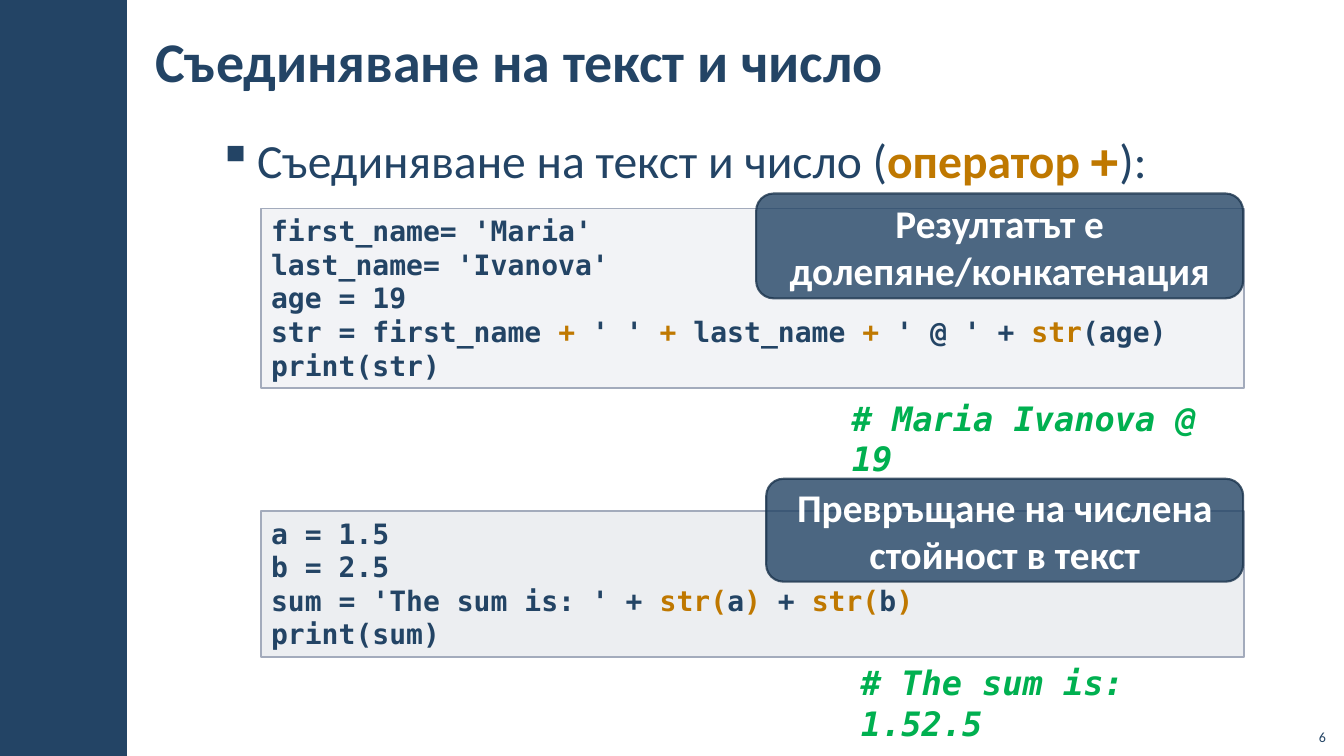
import pptx
import pptx.dml.color
import pptx.enum.shapes
import pptx.enum.text
import pptx.oxml
import pptx.oxml.ns
import pptx.util
from dataclasses import dataclass, field
from typing import Any

Inches = pptx.util.Inches
Pt = pptx.util.Pt
RGBColor = pptx.dml.color.RGBColor
Shape = pptx.enum.shapes.MSO_SHAPE
Align = pptx.enum.text.PP_ALIGN
Anchor = pptx.enum.text.MSO_ANCHOR
Fit = pptx.enum.text.MSO_AUTO_SIZE
qn = pptx.oxml.ns.qn

NAVY = RGBColor(0x23, 0x44, 0x65)
DEEP = RGBColor(0x1A, 0x33, 0x4C)
GOLD = RGBColor(0xBF, 0x78, 0x00)
GREEN = RGBColor(0x00, 0xB0, 0x50)
WHITE = RGBColor(0xFF, 0xFF, 0xFF)
PALE = RGBColor(0xC2, 0xC7, 0xD2)
GREY = RGBColor(0xA3, 0xAB, 0xBC)

SANS, MONO = "Calibri", "DejaVu Sans Mono"
TITLE = {"name": SANS, "size": Pt(40), "bold": True}
BODY = {"name": SANS, "size": Pt(34), "bold": False}
CODE = {"name": MONO, "size": Pt(20), "bold": True}
RESULT = {"name": MONO, "size": Pt(24), "bold": True, "italic": True}
NOTE = {"name": SANS, "size": Pt(28), "bold": True}
NUMBER = {"name": SANS, "size": Pt(10)}
WIDE = {"margin_left": Inches(0.12), "margin_right": Inches(0.12),
        "margin_top": Inches(0.04), "margin_bottom": Inches(0.04)}


@dataclass
class Run:
    text: str
    style: dict[str, Any]
    color: RGBColor = NAVY


@dataclass
class Box:
    left: float
    top: float
    width: float
    height: float
    lines: list[list[Run]] = field(default_factory=list)
    align: Any = Align.LEFT
    frame: dict[str, Any] = field(default_factory=dict)


@dataclass
class Look:
    form: Any
    fill: RGBColor
    alpha: int = 100
    line: RGBColor | None = None
    weight: float = 1
    clear: int = 100  # line opacity in percent


def code(text: str) -> list[list[Run]]:
    """Split code into lines; parts between bars are gold."""
    return [[Run(part, CODE, GOLD if i % 2 else NAVY)
             for i, part in enumerate(line.split("|")) if part]
            for line in text.splitlines()]


def fade(color: Any, alpha: int) -> None:
    """Set the opacity of a solid fill in percent."""
    node = color.find(".//" + qn("a:srgbClr"))
    node.append(pptx.oxml.parse_xml(
        '<a:alpha xmlns:a="http://schemas.openxmlformats.org/drawingml/2006/main"'
        f' val="{alpha * 1000}"/>'))


def write(shape: Any, box: Box) -> None:
    frame = shape.text_frame
    for key, value in {"word_wrap": True, "vertical_anchor": Anchor.TOP,
                       **box.frame}.items():
        setattr(frame, key, value)
    for i, line in enumerate(box.lines):
        para = frame.add_paragraph() if i else frame.paragraphs[0]
        para.alignment = box.align
        for item in line:
            run = para.add_run()
            run.text = item.text
            for key, value in item.style.items():
                setattr(run.font, key, value)
            run.font.color.rgb = item.color


def place(box: Box) -> tuple[Any, ...]:
    return tuple(Inches(n) for n in (box.left, box.top, box.width, box.height))


def label(slide: Any, box: Box) -> Any:
    shape = slide.shapes.add_textbox(*place(box))
    write(shape, box)
    return shape


def panel(slide: Any, box: Box, look: Look) -> None:
    shape = slide.shapes.add_shape(look.form, *place(box))
    shape.shadow.inherit = False
    shape.fill.solid()
    shape.fill.fore_color.rgb = look.fill
    if look.alpha < 100:
        fade(shape.element.spPr.find(qn("a:solidFill")), look.alpha)
    if look.line is None:
        shape.line.fill.background()
    else:
        shape.line.color.rgb = look.line
        shape.line.width = Pt(look.weight)
        if look.clear < 100:
            fade(shape.element.spPr.find(qn("a:ln")), look.clear)
    write(shape, box)


def bullet(para: Any) -> None:
    props = para._p.get_or_add_pPr()
    props.set("marL", str(Inches(0.39)))
    props.set("indent", str(-Inches(0.39)))
    props.append(pptx.oxml.parse_xml(
        '<a:buChar xmlns:a="http://schemas.openxmlformats.org/drawingml/2006/main"'
        ' char="▪"/>'))
    para.line_spacing = 1.05
    para.space_after = Pt(6)


NAMES = """first_name= 'Maria'
last_name= 'Ivanova'
age = 19
str = first_name |+| ' ' |+| last_name |+| ' @ ' + |str|(age)
print(str)"""
SUM = """a = 1.5
b = 2.5
sum = 'The sum is: ' + |str(|a|)| + |str(|b|)|
print(sum)"""
GROW = {"auto_size": Fit.SHAPE_TO_FIT_TEXT}
MID = {"vertical_anchor": Anchor.MIDDLE}


def main() -> None:
    deck = pptx.Presentation()
    deck.slide_width, deck.slide_height = Inches(13.33), Inches(7.5)
    slide = deck.slides.add_slide(deck.slide_layouts[6])

    # Side band and page number
    panel(slide, Box(0, 0, 1.26, 7.5), Look(Shape.RECTANGLE, NAVY))
    label(slide, Box(12.85, 7.12, 0.4, 0.32, [[Run("6", NUMBER)]], Align.RIGHT,
                     {"vertical_anchor": Anchor.BOTTOM}))

    # Heading and bullet
    body = label(slide, Box(2.04, 1.23, 11.08, 6.07, [[
        Run("Съединяване на текст и число (", BODY),
        Run("оператор ", {**BODY, "bold": True}, GOLD),
        Run("+", {**BODY, "name": MONO, "bold": True}, GOLD),
        Run("):", BODY)]], frame=WIDE))
    bullet(body.text_frame.paragraphs[0])
    label(slide, Box(1.42, 0.11, 10.02, 0.97,
                     [[Run("Съединяване на текст и число", TITLE)]],
                     frame={**WIDE, **MID}))

    # Code panels
    for top, high, text, fill in ((2.07, 1.78, NAMES, PALE),
                                  (5.07, 1.45, SUM, GREY)):
        panel(slide, Box(2.59, top, 9.75, high, code(text), frame=GROW),
              Look(Shape.RECTANGLE, fill, 20, GREY))

    # Results
    for left, top, wide, text in ((8.35, 3.9, 3.99, "# Maria Ivanova @ 19"),
                                  (8.44, 6.52, 3.9, "# The sum is: 1.52.5")):
        label(slide, Box(left, top, wide, 0.5, [[Run(text, RESULT, GREEN)]],
                         frame=GROW))

    # Callouts
    for left, top, wide, high, text in (
            (7.5, 1.92, 4.83, 1.04, "Резултатът е долепяне/конкатенация"),
            (7.6, 4.75, 4.73, 1.02, "Превръщане на числена стойност в текст")):
        panel(slide, Box(left, top, wide, high, [[Run(text, NOTE, WHITE)]],
                         Align.CENTER, MID),
              Look(Shape.ROUNDED_RECTANGLE, NAVY, 80, DEEP, 1.5, 80))

    deck.save("out.pptx")


if __name__ == "__main__":
    main()
